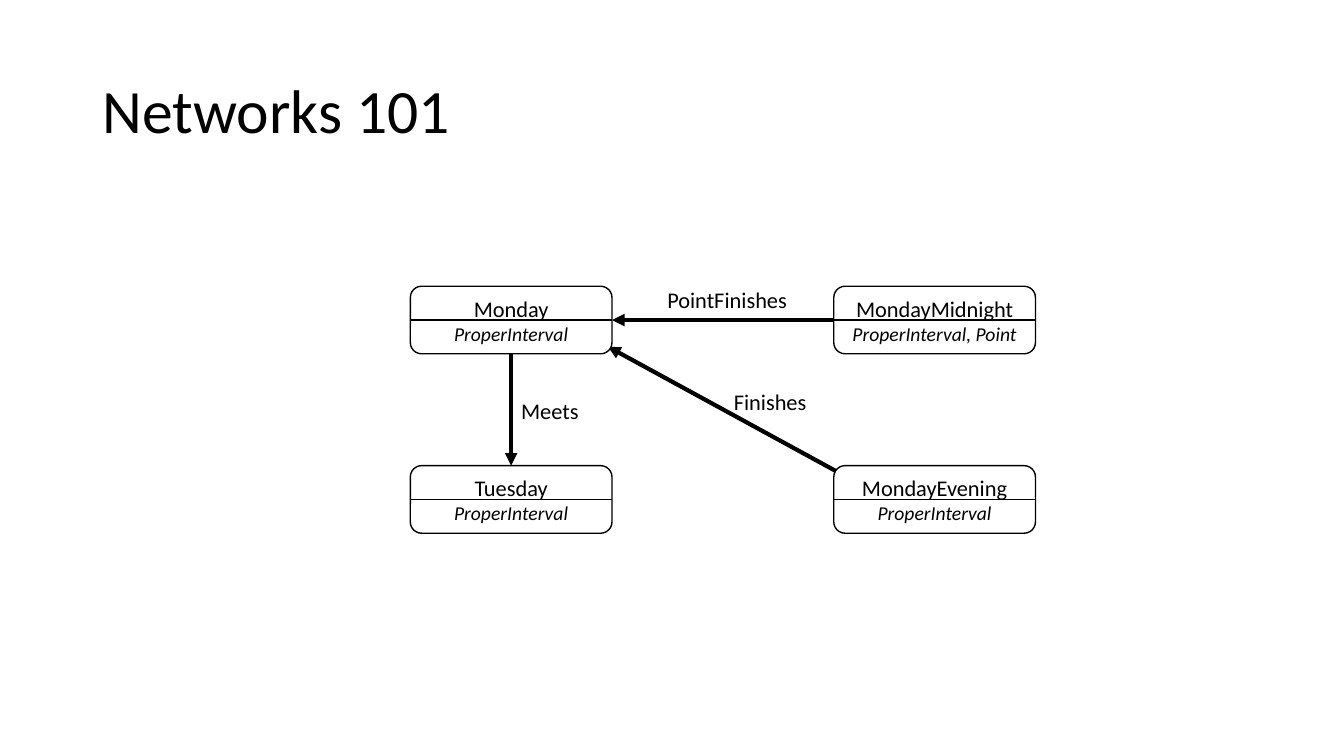
"""Build the "Networks 101" slide: four interval nodes joined by labelled relations."""
from lxml import etree
from pptx import Presentation
from pptx.dml.color import RGBColor
from pptx.enum.shapes import MSO_CONNECTOR, MSO_SHAPE
from pptx.enum.text import MSO_ANCHOR, PP_ALIGN
from pptx.oxml.ns import qn
from pptx.util import Inches, Pt

BLACK, WHITE = "000000", "FFFFFF"
NODE_W, NODE_H = 2, 0.67
LEFT, RIGHT = 4.07, 8.27
TOP, BOTTOM = 2.84, 4.62

prs = Presentation()
prs.slide_width, prs.slide_height = Inches(13.33), Inches(7.5)
slide = prs.slides.add_slide(prs.slide_layouts[6])


def write(paragraph, text, size, italic=False):
    run = paragraph.add_run()
    run.text = text
    run.font.name, run.font.size = "Calibri", Pt(size)
    run.font.italic = italic
    run.font.color.rgb = RGBColor.from_string(BLACK)


def connect(start, end, width, arrow=False):
    points = [Inches(v) for v in (*start, *end)]
    line = slide.shapes.add_connector(MSO_CONNECTOR.STRAIGHT, *points)
    line.line.color.rgb = RGBColor.from_string(BLACK)
    line.line.width = Pt(width)
    if arrow:
        etree.SubElement(line.line._get_or_add_ln(), qn("a:tailEnd"), type="triangle")
    etree.SubElement(line._element.spPr, qn("a:effectLst"))


title = slide.shapes.add_textbox(Inches(0.92), Inches(0.4), Inches(11.5), Inches(1.45))
title.text_frame.word_wrap = True
title.text_frame.vertical_anchor = MSO_ANCHOR.MIDDLE
title.text_frame.paragraphs[0].line_spacing = 0.9
write(title.text_frame.paragraphs[0], "Networks 101", 44)

connect((8.34, 4.7), (6.03, 3.44), 3, arrow=True)

nodes = [
    (LEFT, TOP, "Monday", "ProperInterval"),
    (RIGHT, BOTTOM, "MondayEvening", "ProperInterval"),
    (RIGHT, TOP, "MondayMidnight", "ProperInterval, Point"),
    (LEFT, BOTTOM, "Tuesday", "ProperInterval"),
]
for x, y, name, kind in nodes:
    node = slide.shapes.add_shape(
        MSO_SHAPE.ROUNDED_RECTANGLE, Inches(x), Inches(y), Inches(NODE_W), Inches(NODE_H))
    node.shadow.inherit = False
    node.fill.solid()
    node.fill.fore_color.rgb = RGBColor.from_string(WHITE)
    node.line.color.rgb = RGBColor.from_string(BLACK)
    node.line.width = Pt(1)
    frame = node.text_frame
    frame.word_wrap = True
    frame.vertical_anchor = MSO_ANCHOR.MIDDLE
    write(frame.paragraphs[0], name, 16)
    write(frame.add_paragraph(), kind, 14, italic=True)
    for paragraph in frame.paragraphs:
        paragraph.alignment = PP_ALIGN.CENTER
    middle = y + NODE_H / 2
    connect((x, middle), (x + NODE_W, middle), 1)

center, upper_middle = LEFT + NODE_W / 2, TOP + NODE_H / 2
connect((center, TOP + NODE_H), (center, BOTTOM), 3, arrow=True)
connect((RIGHT, upper_middle), (LEFT + NODE_W, upper_middle), 3, arrow=True)

relations = [
    (5.07, 3.89, 0.78, "Meets"),
    (6.52, 2.79, 1.4, "PointFinishes"),
    (7.18, 3.8, 0.93, "Finishes"),
]
for x, y, width, name in relations:
    label = slide.shapes.add_textbox(Inches(x), Inches(y), Inches(width), Inches(0.37))
    label.text_frame.word_wrap = False
    write(label.text_frame.paragraphs[0], name, 16)

prs.save("out.pptx")
